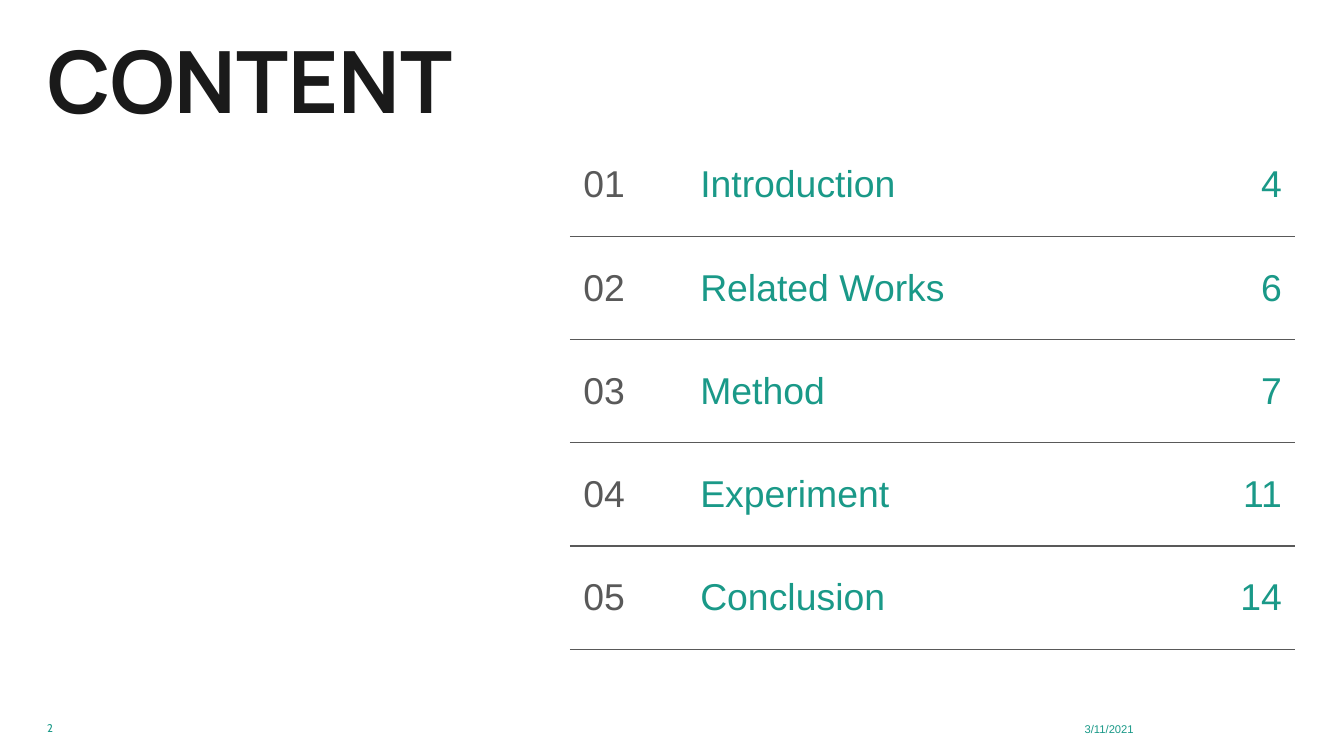
from lxml import etree
from pptx import Presentation
from pptx.dml.color import RGBColor
from pptx.enum.text import MSO_ANCHOR, PP_ALIGN
from pptx.oxml.ns import qn
from pptx.util import Cm, Pt

TOP, MIDDLE = MSO_ANCHOR.TOP, MSO_ANCHOR.MIDDLE
LEFT, RIGHT = PP_ALIGN.LEFT, PP_ALIGN.RIGHT
COLORS = {"title": "1A1A1A", "grey": "595959", "teal": "1A9988"}
TOPICS = [
    ("Introduction", 4),
    ("Related Works", 6),
    ("Method", 7),
    ("Experiment", 11),
    ("Conclusion", 14),
]
WIDTHS = (2.21, 9.68, 1.82)
ROW = 1.95


def style(para, font, size, color, bold=False):
    para.font.name = font
    para.font.size = Pt(size)
    para.font.bold = bold
    para.font.color.rgb = RGBColor.from_string(COLORS[color])


def add_text(slide, text, box, font, size, color, bold=False, anchor=TOP):
    """Add a one-line text box without margins and return its paragraph."""
    frame = slide.shapes.add_textbox(*map(Cm, box)).text_frame
    frame.word_wrap = True
    frame.vertical_anchor = anchor
    frame.margin_left = frame.margin_right = 0
    frame.margin_top = frame.margin_bottom = 0
    para = frame.paragraphs[0]
    para.text = text
    style(para, font, size, color, bold)
    return para


def set_edges(cell, ruled):
    """Draw a line on the ruled sides of a cell and clear the others."""
    props = cell._tc.get_or_add_tcPr()
    for side in "LRTB":
        line = etree.SubElement(props, qn(f"a:ln{side}"), w=str(Pt(0.75)))
        if side in ruled:
            fill = etree.SubElement(line, qn("a:solidFill"))
            etree.SubElement(fill, qn("a:srgbClr"), val=COLORS["grey"])
        else:
            etree.SubElement(line, qn("a:noFill"))


def fill_cell(cell, text, color, align, ruled):
    set_edges(cell, ruled)
    cell.fill.background()
    cell.vertical_anchor = MIDDLE
    para = cell.text_frame.paragraphs[0]
    para.text = text
    para.alignment = align
    style(para, "Arial", 20, color)


def add_topics(slide, left, top):
    count = len(TOPICS)
    table = slide.shapes.add_table(
        count, len(WIDTHS), Cm(left), Cm(top), Cm(sum(WIDTHS)), Cm(ROW * count)
    ).table
    table.first_row = table.horz_banding = False
    for col, width in zip(table.columns, WIDTHS):
        col.width = Cm(width)
    for i, (name, page) in enumerate(TOPICS):
        table.rows[i].height = Cm(ROW)
        ruled = "TB" if i else "B"
        fill_cell(table.cell(i, 0), f"{i + 1:02}", "grey", LEFT, ruled)
        fill_cell(table.cell(i, 1), name, "teal", LEFT, ruled)
        fill_cell(table.cell(i, 2), str(page), "teal", RIGHT, ruled)


def main():
    deck = Presentation()
    deck.slide_width, deck.slide_height = Cm(25.4), Cm(14.29)
    slide = deck.slides.add_slide(deck.slide_layouts[6])
    title = add_text(slide, "CONTENT", (0.89, 0.89, 8, 8.74),
                     "Manrope", 46, "title", bold=True)
    title.line_spacing = 0.8
    add_topics(slide, 10.77, 2.52)
    add_text(slide, "2", (0.89, 13.64, 1, 0.3), "Cabin", 6, "teal")
    add_text(slide, "3/11/2021", (20.5, 13.64, 2, 0.3), "Arial", 6, "teal",
             anchor=MIDDLE)
    deck.save("out.pptx")


if __name__ == "__main__":
    main()
